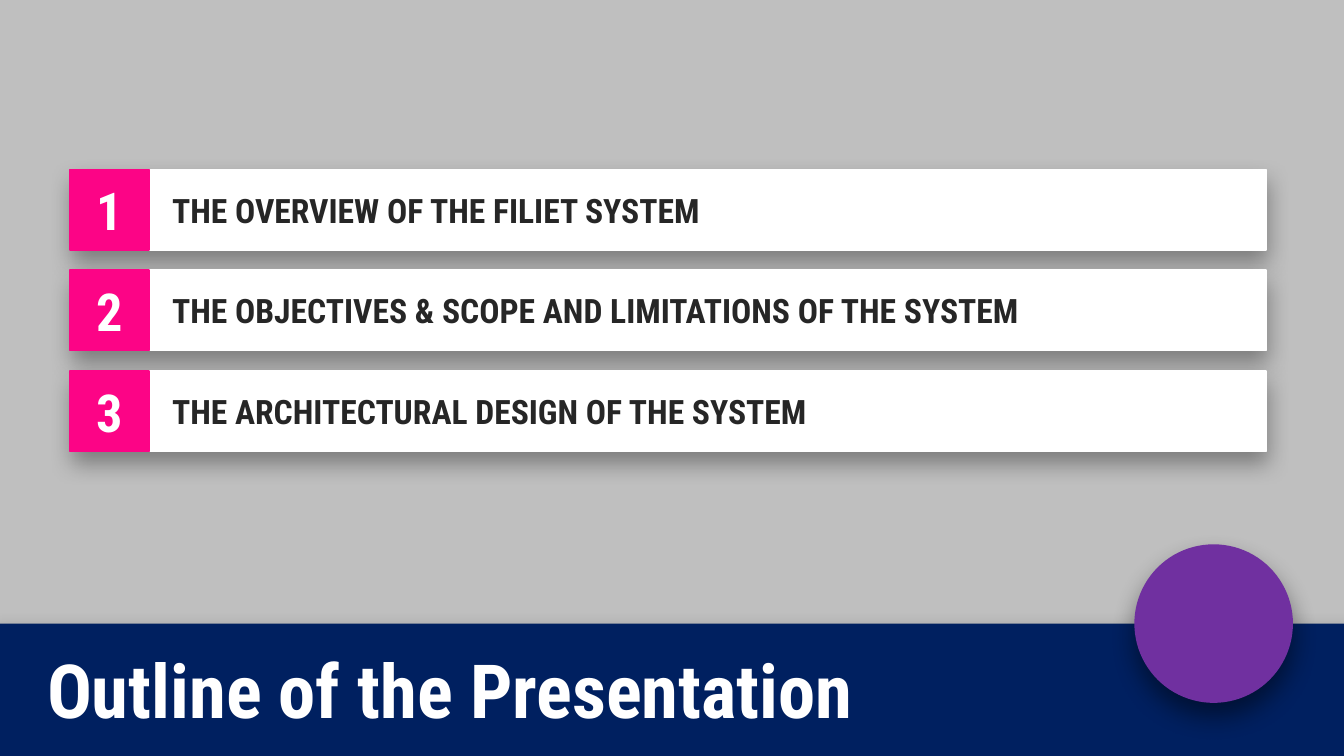
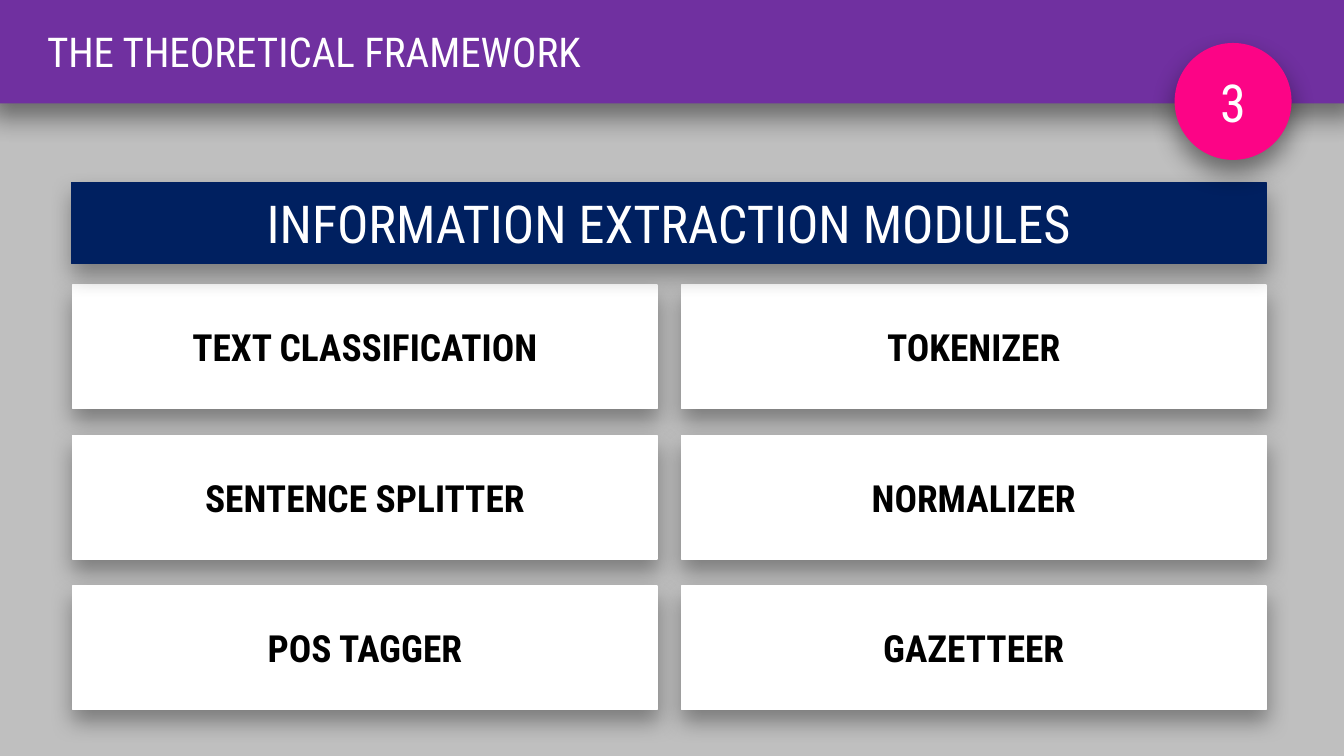
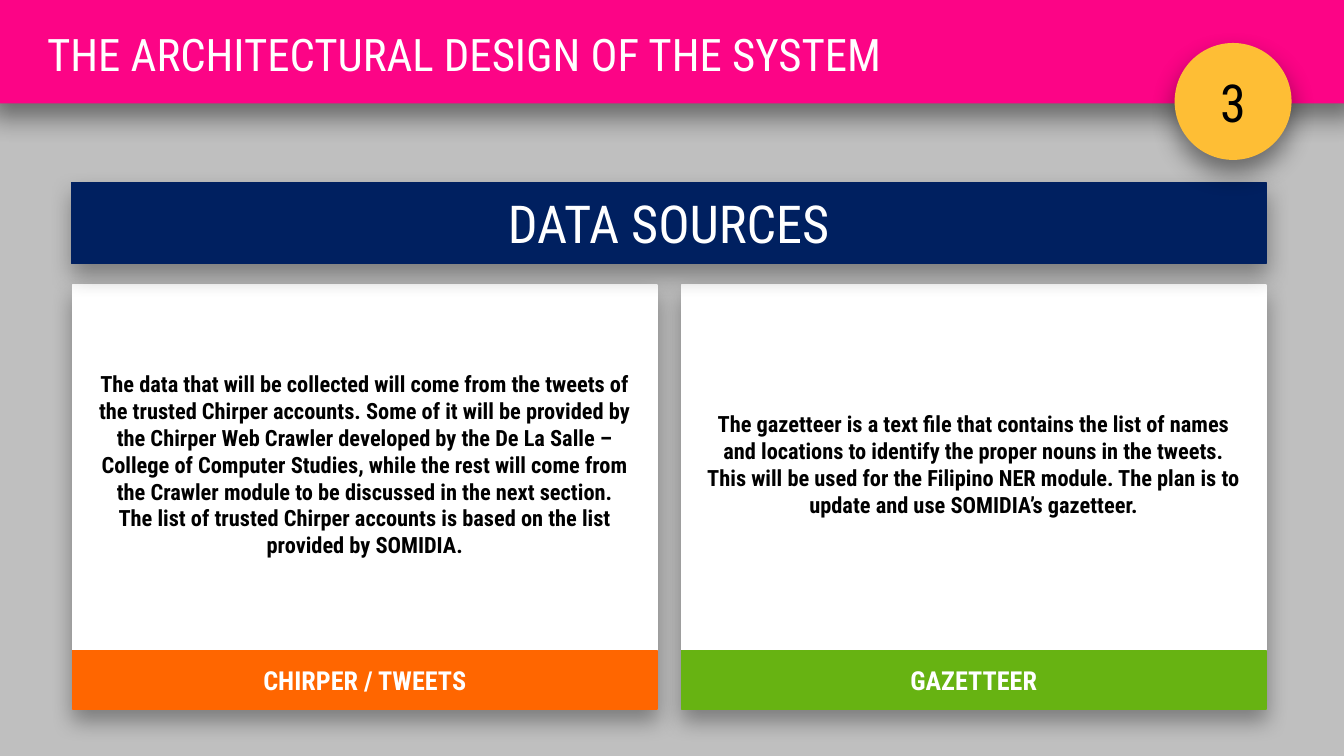
from lxml import etree
from pptx import Presentation
from pptx.dml.color import RGBColor
from pptx.enum.shapes import MSO_SHAPE
from pptx.enum.text import MSO_ANCHOR, MSO_AUTO_SIZE, PP_ALIGN
from pptx.oxml.ns import qn
from pptx.util import Inches, Pt

RECT, OVAL = MSO_SHAPE.RECTANGLE, MSO_SHAPE.OVAL
LEFT, MID = PP_ALIGN.LEFT, PP_ALIGN.CENTER

WHITE = RGBColor(0xFF, 0xFF, 0xFF)
BLACK = RGBColor(0x00, 0x00, 0x00)
INK = RGBColor(0x26, 0x26, 0x26)
GREY = RGBColor(0xBF, 0xBF, 0xBF)
NAVY = RGBColor(0x00, 0x20, 0x60)
PURPLE = RGBColor(0x70, 0x30, 0xA0)
PINK = RGBColor(0xFC, 0x04, 0x86)
GOLD = RGBColor(0xFE, 0xBE, 0x35)
ORANGE = RGBColor(0xFF, 0x66, 0x00)
GREEN = RGBColor(0x67, 0xB3, 0x12)
FONT = "Roboto Condensed"

# Shadows: opacity in percent, blur and distance in points
SOFT = (35, 12, 6)
DEEP = (45, 14, 7)

# Grid in inches, on a 16:9 slide
WIDTH = 10
HEIGHT = WIDTH * 9 / 16
EDGE, SPAN = 0.53, 8.89
CARD = 4.35
COLS = (EDGE + 0.01, EDGE + SPAN - CARD)
BAR = 0.6
TOP = 2.12


def box(slide, kind, area, fill, text="", size=28, color=WHITE, bold=False,
        align=MID, shade=None, inset=(0.1, 0.05, 0.1, 0.05)):
    """Draw a filled shape; area is left, top, width, height in inches."""
    shape = slide.shapes.add_shape(kind, *map(Inches, area))
    shape.fill.solid()
    shape.fill.fore_color.rgb = fill
    if shade == DEEP:
        shape.line.fill.background()
    else:
        shape.line.color.rgb = fill
        shape.line.width = Pt(0.75)
    shape.shadow.inherit = False
    if shade:
        alpha, blur, dist = shade
        effects = shape.element.spPr.find(qn("a:effectLst"))
        outer = etree.SubElement(effects, qn("a:outerShdw"), blurRad=str(Pt(blur)),
                                 dist=str(Pt(dist)), dir="5400000",
                                 algn="t", rotWithShape="0")
        tint = etree.SubElement(outer, qn("a:srgbClr"), val=str(BLACK))
        etree.SubElement(tint, qn("a:alpha"), val=str(alpha * 1000))
    if text:
        frame = shape.text_frame
        frame.word_wrap = True
        frame.vertical_anchor = MSO_ANCHOR.MIDDLE
        (frame.margin_left, frame.margin_top,
         frame.margin_right, frame.margin_bottom) = map(Inches, inset)
        para = frame.paragraphs[0]
        para.text, para.alignment = text, align
        font = para.font
        font.name, font.size, font.bold = FONT, Pt(size), bold
        font.color.rgb = color


def banner(slide, text, fill, top, area, size, bold=False):
    """Draw the full-width band and set the title on it."""
    box(slide, RECT, (-0.08, top, WIDTH + 0.17, 1.75), fill, shade=DEEP)
    title = slide.shapes.title
    title.element.getparent().append(title.element)
    title.left, title.top, title.width, title.height = map(Inches, area)
    title.fill.solid()
    title.fill.fore_color.rgb = fill
    frame = title.text_frame
    frame.auto_size = MSO_AUTO_SIZE.NONE
    frame.vertical_anchor = MSO_ANCHOR.TOP
    para = frame.paragraphs[0]
    para.text, para.alignment = text, LEFT
    font = para.font
    font.name, font.size, font.bold = FONT, Pt(size), bold
    font.color.rgb = WHITE


deck = Presentation()
deck.slide_width, deck.slide_height = Inches(WIDTH), Inches(HEIGHT)
back = deck.slide_master.background.fill
back.solid()
back.fore_color.rgb = GREY
layout = deck.slide_layouts[5]

# Slide 1: outline
slide = deck.slides.add_slide(layout)
topics = ("THE OVERVIEW OF THE FILIET SYSTEM",
          "THE OBJECTIVES & SCOPE AND LIMITATIONS OF THE SYSTEM",
          "THE ARCHITECTURAL DESIGN OF THE SYSTEM")
for row, topic in enumerate(topics):
    y = 1.26 + row * 0.75
    box(slide, RECT, (EDGE, y, SPAN, BAR), WHITE, topic, 18, INK, True, LEFT,
        SOFT, (0.75, 0.05, 0.1, 0.05))
    box(slide, RECT, (EDGE - 0.01, y, 0.59, BAR), PINK, str(row + 1), bold=True)
banner(slide, "Outline of the Presentation", NAVY, 4.64,
       (0.25, 4.74, 8, 0.77), 40, True)
box(slide, OVAL, (8.44, 4.05, 1.18, 1.18), PURPLE, shade=DEEP)

# Slide 2: modules
slide = deck.slides.add_slide(layout)
modules = (("TEXT CLASSIFICATION", "SENTENCE SPLITTER", "POS TAGGER"),
           ("TOKENIZER", "NORMALIZER", "GAZETTEER"))
for x, names in zip(COLS, modules):
    for row, name in enumerate(names):
        box(slide, RECT, (x, TOP + row * 1.12, CARD, 0.92), WHITE, name, 20,
            BLACK, True, shade=SOFT)

# Slide 3: data sources
slide = deck.slides.add_slide(layout)
sources = (
    ("CHIRPER / TWEETS", ORANGE,
     "The data that will be collected will come from the tweets of the trusted "
     "Chirper accounts. Some of it will be provided by the Chirper Web Crawler "
     "developed by the De La Salle – College of Computer Studies, while the rest "
     "will come from the Crawler module to be discussed in the next section. The "
     "list of trusted Chirper accounts is based on the list provided by SOMIDIA."),
    ("GAZETTEER", GREEN,
     "The gazetteer is a text file that contains the list of names and locations "
     "to identify the proper nouns in the tweets. This will be used for the "
     "Filipino NER module. The plan is to update and use SOMIDIA’s gazetteer."))
for x, (name, fill, body) in zip(COLS, sources):
    box(slide, RECT, (x, TOP, CARD, 3.16), WHITE, body, 12, BLACK, True,
        shade=SOFT, inset=(0.19, 0.1, 0.19, 0.59))
    box(slide, RECT, (x, TOP + 2.72, CARD, 0.44), fill, name, 14, bold=True)

# Heading, band and badge of slides 2 and 3
heads = (
    ("INFORMATION EXTRACTION MODULES", "THE THEORETICAL FRAMEWORK",
     PURPLE, 22, 0.47, PINK, WHITE),
    ("DATA SOURCES", "THE ARCHITECTURAL DESIGN OF THE SYSTEM",
     PINK, 24, 0.5, GOLD, BLACK))
for number, (head, title, fill, size, tall, badge, ink) in enumerate(heads, 1):
    slide = deck.slides[number]
    box(slide, RECT, (EDGE, 1.36, SPAN, BAR), NAVY, head, shade=SOFT)
    banner(slide, title, fill, -0.98, (0.25, 0.15, 8.02, tall), size)
    box(slide, OVAL, (8.74, 0.32, 0.87, 0.87), badge, "3", color=ink, shade=DEEP)

deck.save("out.pptx")
